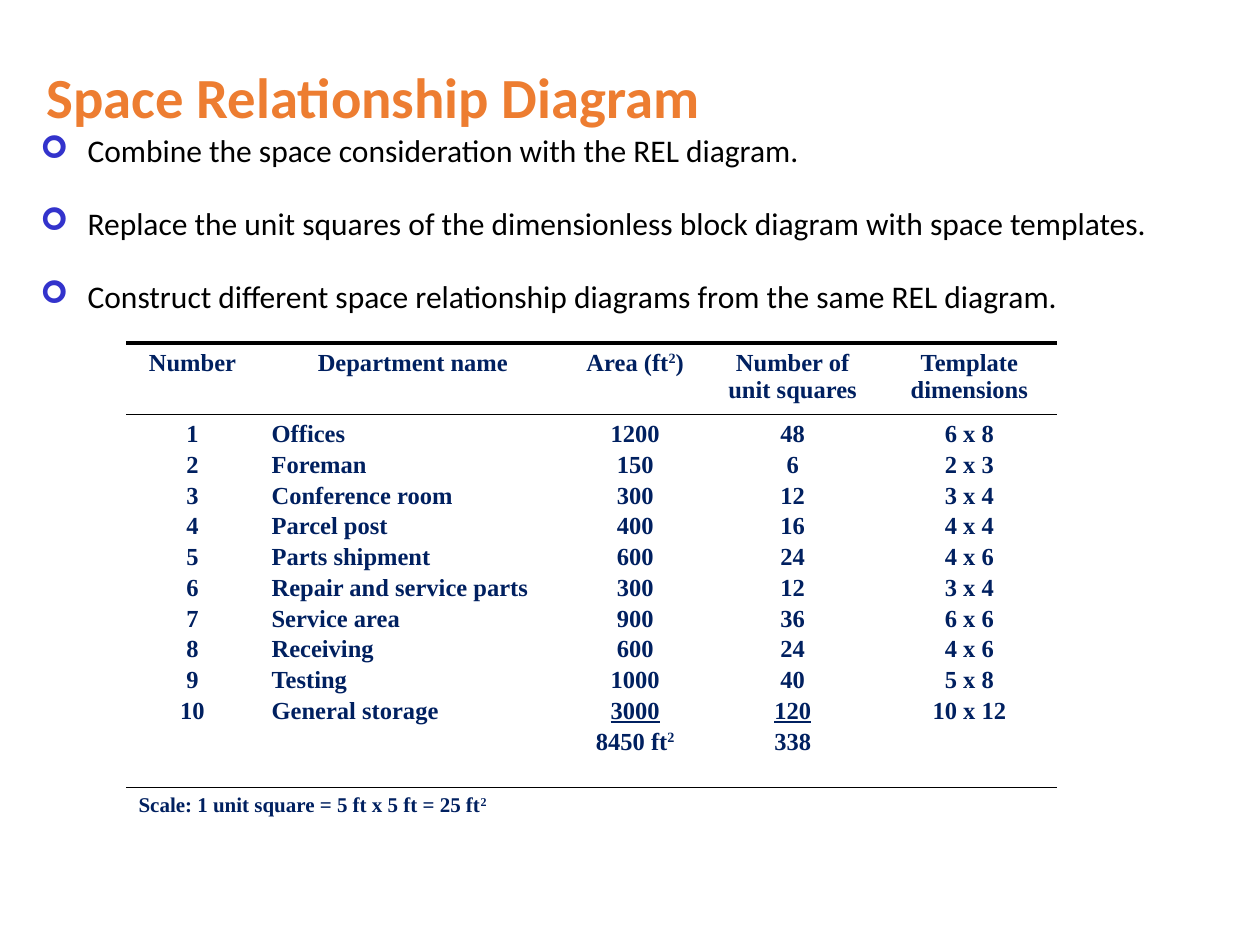
from lxml.etree import SubElement
from pptx import Presentation
from pptx.dml.color import RGBColor
from pptx.enum.text import MSO_ANCHOR, MSO_AUTO_SIZE, PP_ALIGN
from pptx.oxml.ns import qn
from pptx.util import Pt

ORANGE = RGBColor(0xED, 0x7D, 0x31)
BLACK = RGBColor(0x00, 0x00, 0x00)
NAVY = RGBColor(0x00, 0x20, 0x60)
BULLET_BLUE = RGBColor(0x33, 0x33, 0xCC)
NO_GRID_STYLE = "{2D5ABB26-0587-4C30-8999-92F81FD0307C}"

POINTS = [
    "Combine the space consideration with the REL diagram.",
    "Replace the unit squares of the dimensionless block diagram with space templates.",
    "Construct different space relationship diagrams from the same REL diagram.",
]
HEADERS = ["Number", "Department name", "Area (ft²)", "Number of unit squares",
           "Template dimensions"]
DEPARTMENTS = [
    ("1", "Offices", "1200", "48", "6 x 8"),
    ("2", "Foreman", "150", "6", "2 x 3"),
    ("3", "Conference room", "300", "12", "3 x 4"),
    ("4", "Parcel post", "400", "16", "4 x 4"),
    ("5", "Parts shipment", "600", "24", "4 x 6"),
    ("6", "Repair and service parts", "300", "12", "3 x 4"),
    ("7", "Service area", "900", "36", "6 x 6"),
    ("8", "Receiving", "600", "24", "4 x 6"),
    ("9", "Testing", "1000", "40", "5 x 8"),
    ("10", "General storage", "3000", "120", "10 x 12"),
]
TOTALS = {2: "8450 ft²", 3: "338"}
SCALE = "Scale: 1 unit square = 5 ft x 5 ft = 25 ft²"
COLUMN_WIDTHS = [76, 176, 78, 102, 100]
ROW_HEIGHTS = [39, 205, 24]
NAME_COLUMN = 1


def set_font(font, name, size, color, bold=False):
    font.name, font.size, font.bold = name, Pt(size), bold
    font.color.rgb = color


def add_title(slide, left, top, width, height):
    title = slide.shapes.title
    title.left, title.top, title.width, title.height = map(Pt, (left, top, width, height))
    frame = title.text_frame
    frame.text = "Space Relationship Diagram"
    frame.auto_size = MSO_AUTO_SIZE.NONE
    frame.vertical_anchor = MSO_ANCHOR.MIDDLE
    paragraph = frame.paragraphs[0]
    paragraph.alignment = PP_ALIGN.LEFT
    paragraph.line_spacing = 0.9
    set_font(paragraph.font, "Calibri", 32.4, ORANGE, bold=True)


def add_bullet(paragraph, indent):
    properties = paragraph._p.get_or_add_pPr()
    properties.set("marL", str(Pt(indent)))
    properties.set("indent", str(-Pt(indent)))
    color = SubElement(properties, qn("a:buClr"))
    SubElement(color, qn("a:srgbClr"), val=str(BULLET_BLUE))
    SubElement(properties, qn("a:buFont"), typeface="Wingdings")
    SubElement(properties, qn("a:buChar"), char="➢")


def add_points(slide, left, top, width, height):
    frame = slide.shapes.add_textbox(*map(Pt, (left, top, width, height))).text_frame
    frame.word_wrap = True
    for index, text in enumerate(POINTS):
        paragraph = frame.paragraphs[0] if index == 0 else frame.add_paragraph()
        paragraph.text = text
        paragraph.line_spacing = 0.9
        paragraph.space_before = Pt(10 if index else 0)
        paragraph.space_after = Pt(12)
        add_bullet(paragraph, 27)
        set_font(paragraph.font, "Calibri", 18, BLACK)


def add_runs(paragraph, text):
    """Write the text, with each ² as a raised 2."""
    for index, part in enumerate(text.split("²")):
        if index:
            raised = paragraph.add_run()
            raised.text = "2"
            raised._r.get_or_add_rPr().set("baseline", "30000")
        if part:
            paragraph.add_run().text = part


def fill_cell(cell, lines, alignment, size=14):
    for index, text in enumerate(lines):
        paragraph = cell.text_frame.paragraphs[0] if index == 0 else cell.text_frame.add_paragraph()
        add_runs(paragraph, text)
        paragraph.alignment = alignment
        paragraph.space_before = Pt(2.1 if index else 0)
        set_font(paragraph.font, "Times New Roman", size, NAVY, bold=True)


def set_borders(cell, top, bottom):
    properties = cell._tc.get_or_add_tcPr()
    for tag, width in (("a:lnT", top), ("a:lnB", bottom)):
        if width:
            line = SubElement(properties, qn(tag), w=str(Pt(width)))
            fill = SubElement(line, qn("a:solidFill"))
            SubElement(fill, qn("a:srgbClr"), val=str(BLACK))


def add_department_table(slide, left, top):
    box = (left, top, sum(COLUMN_WIDTHS), sum(ROW_HEIGHTS))
    table = slide.shapes.add_table(3, len(HEADERS), *map(Pt, box)).table
    table.first_row = table.horz_banding = False
    table._tbl.tblPr.find(qn("a:tableStyleId")).text = NO_GRID_STYLE
    for column, width in zip(table.columns, COLUMN_WIDTHS):
        column.width = Pt(width)

    # Rules above the header, the departments and the scale
    rules = [2.25, 1, 1, None]
    for index, (row, height) in enumerate(zip(table.rows, ROW_HEIGHTS)):
        row.height = Pt(height)
        for cell in row.cells:
            set_borders(cell, rules[index], rules[index + 1])
            cell.fill.background()

    # Header and one cell of lines for each column
    for index, (header, values) in enumerate(zip(HEADERS, zip(*DEPARTMENTS))):
        fill_cell(table.cell(0, index), [header], PP_ALIGN.CENTER)
        lines = list(values) + ([TOTALS[index]] if index in TOTALS else [])
        alignment = PP_ALIGN.LEFT if index == NAME_COLUMN else PP_ALIGN.CENTER
        body = table.cell(1, index)
        fill_cell(body, lines, alignment)
        if index in TOTALS:
            body.text_frame.paragraphs[-2].runs[0].font.underline = True

    # Scale
    scale = table.cell(2, 0)
    scale.merge(table.cell(2, 2))
    fill_cell(scale, [SCALE], PP_ALIGN.LEFT, size=12)


def main():
    presentation = Presentation()
    presentation.slide_width, presentation.slide_height = Pt(720), Pt(540)
    slide = presentation.slides.add_slide(presentation.slide_layouts[5])
    add_title(slide, 19.5, 39.5, 636.5, 36)
    add_points(slide, 16, 74, 665, 112)
    add_department_table(slide, 72, 196)
    presentation.save("out.pptx")


if __name__ == "__main__":
    main()
